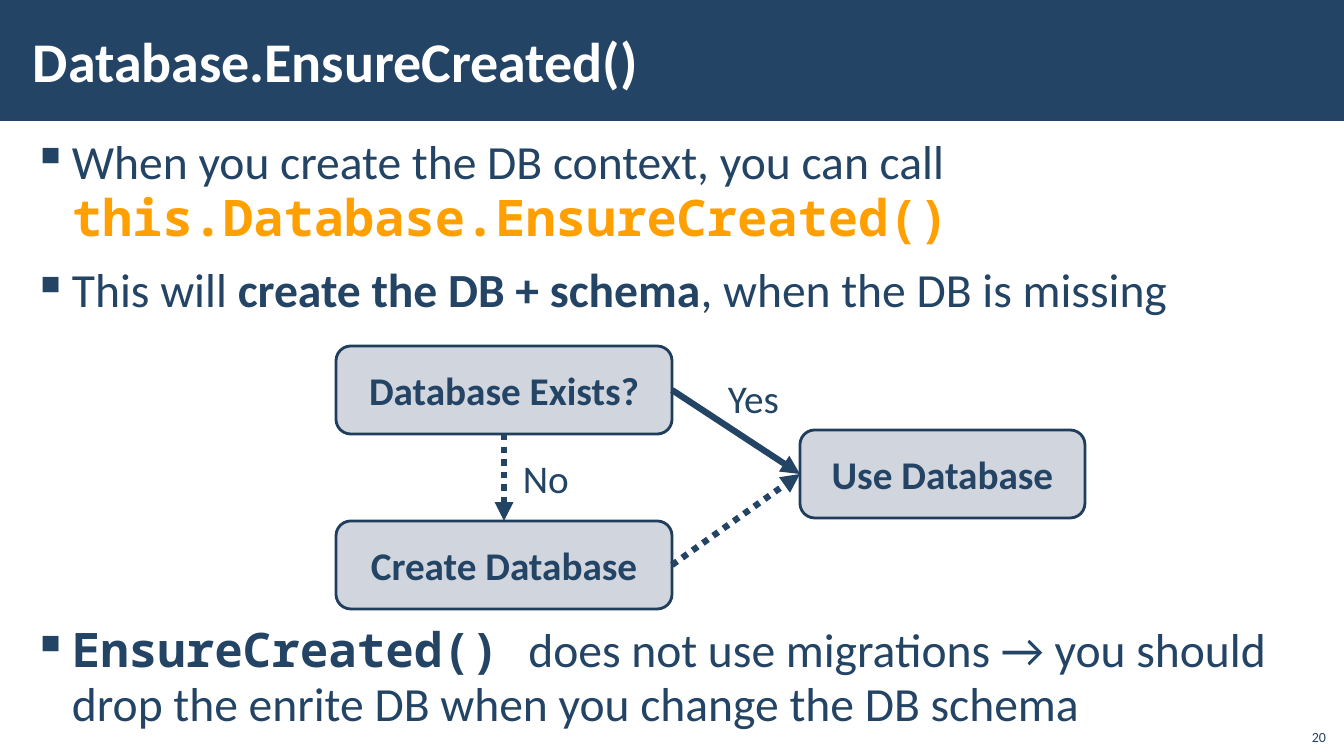
from lxml.etree import SubElement
from pptx import Presentation
from pptx.dml.color import RGBColor
from pptx.enum.dml import MSO_LINE_DASH_STYLE as Dash
from pptx.enum.shapes import MSO_CONNECTOR as Connector, MSO_SHAPE as Shape
from pptx.enum.text import MSO_ANCHOR as Anchor, MSO_AUTO_SIZE as AutoSize, PP_ALIGN as Align
from pptx.oxml.ns import qn
from pptx.util import Pt

EMU_PER_PX = 914400 / 100.8
NAVY = RGBColor(0x23, 0x44, 0x65)
BORDER = RGBColor(0x20, 0x3D, 0x5B)
GREY = RGBColor(0xD1, 0xD5, 0xDD)
ORANGE = RGBColor(0xFF, 0xA0, 0x00)
WHITE = RGBColor(0xFF, 0xFF, 0xFF)
SANS, MONO = "Calibri", "Noto Sans Mono"
BULLET_INDENT = 39


def px(length):
    """Turn pixels into EMU."""
    return round(length * EMU_PER_PX)


def style(run, size, color=NAVY, bold=False, font=SANS):
    """Format one run."""
    run.font.name = font
    run.font.size = Pt(size)
    run.font.bold = bold
    run.font.color.rgb = color


def add_block(slide, shape_type, box, fill, border=None):
    """Add a flat filled shape."""
    block = slide.shapes.add_shape(shape_type, *map(px, box))
    block.shadow.inherit = False
    block.fill.solid()
    block.fill.fore_color.rgb = fill
    if border is None:
        block.line.fill.background()
    else:
        block.line.color.rgb = border
        block.line.width = Pt(2)
    return block


def add_step(slide, label, box):
    """Add a rounded box of the flow."""
    step = add_block(slide, Shape.ROUNDED_RECTANGLE, box, GREY, BORDER)
    frame = step.text_frame
    frame.text = label
    frame.vertical_anchor = Anchor.MIDDLE
    frame.paragraphs[0].alignment = Align.CENTER
    style(frame.paragraphs[0].runs[0], 28, bold=True)
    return step


def add_arrow(slide, start, start_site, end, end_site, dotted=False):
    """Join two steps with an arrow."""
    arrow = slide.shapes.add_connector(Connector.STRAIGHT, 0, 0, 0, 0)
    arrow.begin_connect(start, start_site)
    arrow.end_connect(end, end_site)
    arrow.line.color.rgb = NAVY
    arrow.line.width = Pt(4.5)
    if dotted:
        arrow.line.dash_style = Dash.ROUND_DOT
    SubElement(arrow.line._get_or_add_ln(), qn("a:tailEnd"), type="triangle")
    SubElement(arrow._element.spPr, qn("a:effectLst"))


def add_text(slide, text, box, size, color=NAVY, bold=False, anchor=Anchor.TOP,
             align=Align.LEFT, wrap=True):
    """Add a one-paragraph text box."""
    frame = slide.shapes.add_textbox(*map(px, box)).text_frame
    frame.text = text
    frame.word_wrap = wrap
    frame.auto_size = AutoSize.NONE if wrap else AutoSize.SHAPE_TO_FIT_TEXT
    frame.vertical_anchor = anchor
    frame.paragraphs[0].alignment = align
    style(frame.paragraphs[0].runs[0], size, color, bold)
    return frame


def set_insets(frame):
    """Give a text frame the margins of the title and body."""
    frame.margin_left = frame.margin_right = px(12)
    frame.margin_top = frame.margin_bottom = px(4)


def add_bullets(slide, box, bullets):
    """Add bulleted paragraphs, each with its space before and styled runs."""
    frame = slide.shapes.add_textbox(*map(px, box)).text_frame
    frame.word_wrap = True
    set_insets(frame)
    for index, (space_before, parts) in enumerate(bullets):
        bullet = frame.add_paragraph() if index else frame.paragraphs[0]
        bullet.line_spacing = 0.95
        bullet.space_before = Pt(space_before)
        bullet.space_after = Pt(6)
        properties = bullet._p.get_or_add_pPr()
        properties.set("marL", str(px(BULLET_INDENT)))
        properties.set("indent", str(-px(BULLET_INDENT)))
        SubElement(properties, qn("a:buChar"), char="▪")
        for text, formatting in parts:
            run = bullet.add_run()
            run.text = text
            style(run, **formatting)


def main():
    """Build the slide."""
    deck = Presentation()
    deck.slide_width, deck.slide_height = px(1344), px(756)
    slide = deck.slides.add_slide(deck.slide_layouts[6])

    add_block(slide, Shape.RECTANGLE, (0, 0, 1344, 121), NAVY)
    add_text(slide, "20", (1296, 718, 40, 32), 10, anchor=Anchor.BOTTOM, align=Align.RIGHT)

    plain = {"size": 34}
    strong = {"size": 34, "bold": True}
    code = {"size": 34, "bold": True, "font": MONO}
    call = {"size": 36, "bold": True, "font": MONO, "color": ORANGE}
    add_bullets(slide, (21, 132, 1302, 618), [
        (6, [("When you create the DB context, you can call ", plain),
             ("this.Database.EnsureCreated()", call)]),
        (6, [("This will ", plain), ("create the DB + schema", strong),
             (", when the DB is missing", plain)]),
        (212, [("EnsureCreated() ", code),
               ("does not use migrations → you should drop the enrite DB "
                "when you change the DB schema", plain)]),
    ])
    title = add_text(slide, "Database.EnsureCreated()", (21, 11, 1080, 98), 40, WHITE,
                     bold=True, anchor=Anchor.MIDDLE)
    set_insets(title)

    exists = add_step(slide, "Database Exists?", (336, 346, 336, 88))
    create = add_step(slide, "Create Database", (336, 521, 336, 88))
    use = add_step(slide, "Use Database", (800, 430, 285, 88))
    add_arrow(slide, exists, 2, create, 0, dotted=True)
    add_arrow(slide, exists, 3, use, 1)
    add_arrow(slide, create, 3, use, 1, dotted=True)
    add_text(slide, "No", (513, 449, 67, 57), 28, wrap=False)
    add_text(slide, "Yes", (718, 369, 72, 57), 28, wrap=False)

    deck.save("out.pptx")


if __name__ == "__main__":
    main()
